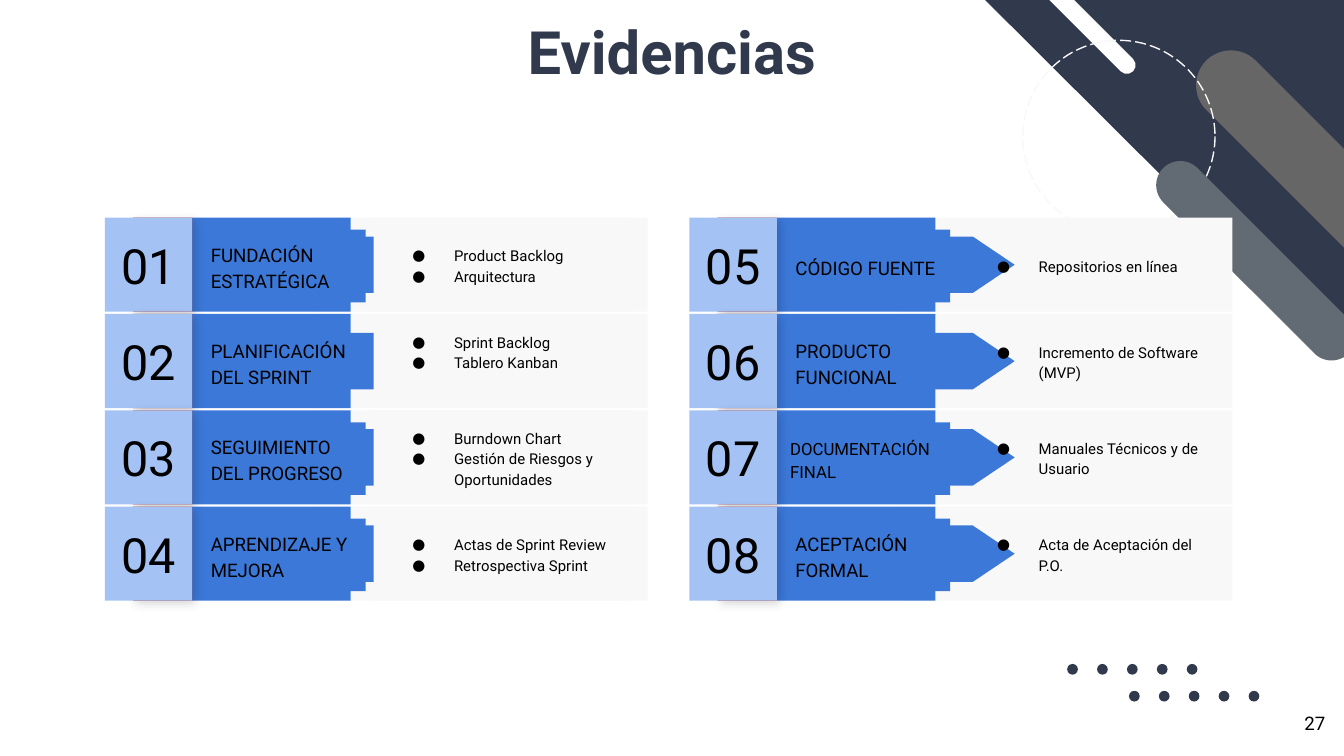
from lxml.etree import SubElement
from pptx import Presentation
from pptx.dml.color import RGBColor
from pptx.enum.dml import MSO_LINE
from pptx.enum.shapes import MSO_SHAPE as Preset
from pptx.enum.text import MSO_ANCHOR as Anchor, PP_ALIGN as Align
from pptx.oxml.ns import qn
from pptx.util import Inches, Pt

COLORS = {
    "navy": "31394D", "gray": "666666", "slate": "626B73", "white": "FFFFFF",
    "panel": "F8F8F8", "blue": "3C78D8", "pale": "A4C2F4", "red": "B02B20",
    "black": "000000",
}
FONT = "Roboto"

# Number, label, evidence items
LEFT_ROWS = [
    ("01", "FUNDACIÓN ESTRATÉGICA", ["Product Backlog", "Arquitectura"]),
    ("02", "PLANIFICACIÓN DEL SPRINT", ["Sprint Backlog", "Tablero Kanban"]),
    ("03", "SEGUIMIENTO DEL PROGRESO",
     ["Burndown Chart", "Gestión de Riesgos y Oportunidades"]),
    ("04", "APRENDIZAJE Y MEJORA",
     ["Actas de Sprint Review", "Retrospectiva Sprint"]),
]
RIGHT_ROWS = [
    ("05", "CÓDIGO FUENTE", ["Repositorios en línea"]),
    ("06", "PRODUCTO FUNCIONAL", ["Incremento de Software (MVP)"]),
    ("07", "DOCUMENTACIÓN FINAL", ["Manuales Técnicos y de Usuario"]),
    ("08", "ACEPTACIÓN FORMAL", ["Acta de Aceptación del P.O."]),
]
ROW_HEIGHT = 0.7


def color(name):
    return RGBColor.from_string(COLORS[name])


def add_block(page, preset, left, top, width, height, fill=None, rotation=0):
    """Add a flat preset shape without outline; no fill name means no fill."""
    block = page.shapes.add_shape(
        preset, Inches(left), Inches(top), Inches(width), Inches(height))
    block.shadow.inherit = False
    block.rotation = rotation
    block.line.fill.background()
    if fill:
        block.fill.solid()
        block.fill.fore_color.rgb = color(fill)
    else:
        block.fill.background()
    return block


def write(box, lines, size, align=Align.LEFT, anchor=Anchor.MIDDLE,
          ink="black", bold=False, spacing=None, bullets=False):
    frame = box.text_frame
    frame.word_wrap = True
    frame.vertical_anchor = anchor
    frame.margin_left = frame.margin_right = Inches(0.1)
    frame.margin_top = frame.margin_bottom = Inches(0.1)
    frame.text = "\n".join(lines)
    for para in frame.paragraphs:
        if bullets:
            add_bullet(para)
        para.alignment = align
        if spacing:
            para.line_spacing = spacing
        for span in para.runs:
            span.font.name = FONT
            span.font.size = Pt(size)
            span.font.bold = bold
            span.font.color.rgb = color(ink)


def add_bullet(para):
    props = para._p.get_or_add_pPr()
    props.set("marL", str(Inches(0.5)))
    props.set("indent", str(Inches(-0.31)))
    tint = SubElement(props, qn("a:buClr"))
    SubElement(tint, qn("a:srgbClr"), val=COLORS["black"])
    SubElement(props, qn("a:buFont"), typeface=FONT)
    SubElement(props, qn("a:buChar"), char="●")


def add_soft_shadow(block):
    effects = block._element.spPr.find(qn("a:effectLst"))
    shadow = SubElement(
        effects, qn("a:outerShdw"), blurRad=str(Pt(5.6)), dist=str(Pt(2.2)),
        dir=str(45 * 60000), algn="tl", rotWithShape="0")
    tint = SubElement(shadow, qn("a:srgbClr"), val=COLORS["black"])
    SubElement(tint, qn("a:alpha"), val="17000")


def add_dots(page, left, top, width):
    """Place two staggered rows of five dots."""
    for shift, drop in ((0.46, 0.2), (0, 0)):
        for index in range(5):
            add_block(page, Preset.OVAL, left + shift + index * width / 4,
                      top + drop, 0.08, 0.08, "navy")


def add_stripe(page, left, top, width, height, fill):
    stripe = add_block(page, Preset.ROUNDED_RECTANGLE,
                       left, top, width, height, fill, 225)
    stripe.adjustments[0] = 0.5


def add_corner(page, left, top):
    """Place the diagonal decoration of the top right corner."""
    add_block(page, Preset.RIGHT_TRIANGLE, left, top, 2.69, 2.68, "navy", 180)
    add_stripe(page, left + 1.38, top + 0.9, 1.95, 0.52, "gray")
    add_stripe(page, left + 0.19, top + 0.1, 1.09, 0.13, "white")
    ring = add_block(page, Preset.OVAL, left + 0.3, top + 0.32, 1.43, 1.43,
                     rotation=180)
    ring.line.color.rgb = color("panel")
    ring.line.width = Pt(0.75)
    ring.line.dash_style = MSO_LINE.LONG_DASH
    add_stripe(page, left + 1.06, top + 1.78, 1.95, 0.36, "slate")


def add_row(page, left, top, row, cover_tip):
    """Place one numbered row; cover_tip hides the arrow tip behind the items."""
    number, label, items = row
    add_block(page, Preset.RECTANGLE, left + 1.58, top, 2.46, ROW_HEIGHT, "panel")
    add_block(page, Preset.RECTANGLE, left + 0.65, top, 1.18, ROW_HEIGHT, "blue")
    add_block(page, Preset.FLOWCHART_OFFPAGE_CONNECTOR,
              left + 1.43, top - 0.43, 0.42, 1.56, "blue", 270)

    long_label = number == "07"
    shift, width, size = (0.65, 1.29, 9) if long_label else (0.69, 1.25, 10)
    label_fill = None if number in ("02", "06") else "blue"
    label_box = add_block(page, Preset.RECTANGLE, left + shift, top + 0.09,
                          width, 0.54, label_fill)
    write(label_box, [label], size, spacing=1.15)

    backing = add_block(page, Preset.RECTANGLE, left + 0.21, top, 0.44,
                        ROW_HEIGHT, "red")
    add_soft_shadow(backing)
    badge = add_block(page, Preset.RECTANGLE, left, top, 0.65, ROW_HEIGHT, "pale")
    write(badge, [number], 26, Align.CENTER)

    details = add_block(page, Preset.RECTANGLE, left + 2, top, 1.91, ROW_HEIGHT,
                        "panel" if cover_tip else None)
    write(details, items, 8, spacing=1.15, bullets=True)
    if number == "02":
        details.text_frame.margin_bottom = Inches(0.25)


def add_column(page, left, top, height, rows, cover_tip):
    pitch = (height - ROW_HEIGHT) / (len(rows) - 1)
    for index, row in enumerate(rows):
        add_row(page, left, top + index * pitch, row, cover_tip)


def add_title(page, left, top, width, height):
    title = page.shapes.title
    title.left, title.top = Inches(left), Inches(top)
    title.width, title.height = Inches(width), Inches(height)
    write(title, ["Evidencias"], 32, Align.CENTER, Anchor.BOTTOM, "navy", True)
    title.text_frame.word_wrap = False


def add_page_number(page, left, top, width, height):
    box = page.shapes.add_textbox(
        Inches(left), Inches(top), Inches(width), Inches(height))
    write(box, ["27"], 10, Align.RIGHT, Anchor.TOP)


def main():
    deck = Presentation()
    deck.slide_width = Inches(10)
    deck.slide_height = deck.slide_width * 9 // 16
    page = deck.slides.add_slide(deck.slide_layouts[5])
    add_dots(page, 7.94, 4.94, 0.89)
    add_corner(page, 7.31, -0.02)
    add_page_number(page, 9.36, 5.21, 0.6, 0.41)
    add_title(page, 3.81, 0.14, 2.38, 0.6)
    add_column(page, 0.78, 1.62, 2.85, LEFT_ROWS, cover_tip=True)
    add_column(page, 5.13, 1.62, 2.85, RIGHT_ROWS, cover_tip=False)
    deck.save("out.pptx")


if __name__ == "__main__":
    main()
